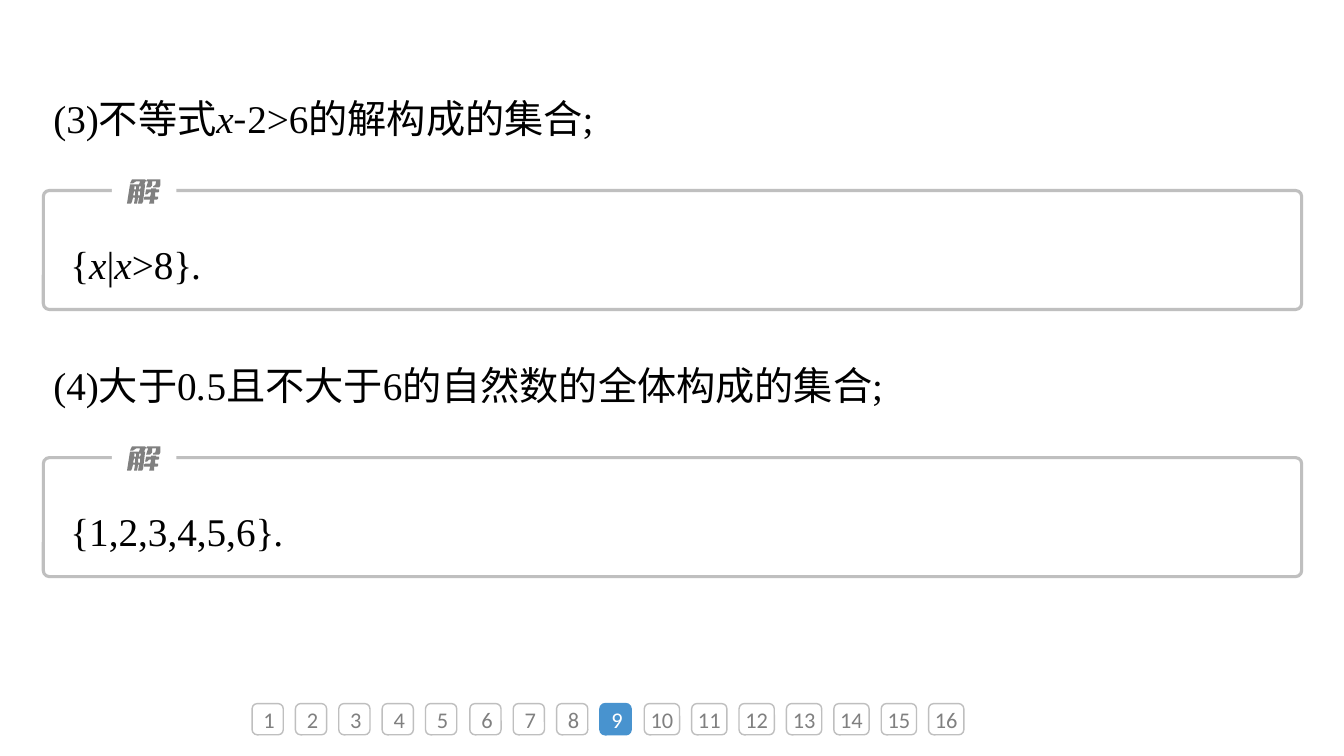
"""Build a slide of two set-notation exercises with answers and page badges."""
import pptx
import pptx.dml.color
import pptx.enum.shapes
import pptx.enum.text
import pptx.util
from lxml import etree

PX = 9144
BLACK = pptx.dml.color.RGBColor(0, 0, 0)
WHITE = pptx.dml.color.RGBColor(255, 255, 255)
GREY = pptx.dml.color.RGBColor(0x80, 0x80, 0x80)
LIGHT_GREY = pptx.dml.color.RGBColor(0xBF, 0xBF, 0xBF)
BLUE = pptx.dml.color.RGBColor(0x48, 0x93, 0xCF)
SERIF = "Times New Roman"
SANS = "Noto Sans CJK SC"
DRAWING = "http://schemas.openxmlformats.org/drawingml/2006/main"
RECTANGLE = pptx.enum.shapes.MSO_SHAPE.RECTANGLE
ROUNDED = pptx.enum.shapes.MSO_SHAPE.ROUNDED_RECTANGLE
CURRENT_PAGE = 9
PAGE_COUNT = 16

SOLUTION_GLYPH = [
    [(11, 12), (11, 16), (13, 16), (13, 12)],
    [(7, 12), (6, 16), (8, 16), (8, 12)],
    [(25, 9), (29, 9), (29, 10), (32, 10), (32, 12), (31, 13), (28, 13),
     (28, 17), (31, 17), (31, 19), (30, 20), (27, 20), (27, 24), (22, 24),
     (23, 20), (17, 20), (17, 18), (18, 17), (23, 17), (24, 13), (22, 13),
     (20, 15), (18, 15), (19, 10), (24, 10), (24, 9)],
    [(12, 7), (12, 10), (13, 10), (14, 7)],
    [(20, 0), (33, 0), (33, 6), (32, 8), (26, 8), (26, 7), (27, 6), (28, 6),
     (29, 2), (25, 2), (25, 6), (23, 8), (19, 8), (21, 2), (19, 2)],
    [(5, 0), (18, 0), (19, 1), (17, 5), (18, 5), (16, 22), (15, 24), (11, 24),
     (12, 18), (11, 18), (10, 24), (7, 24), (8, 18), (6, 18), (5, 22), (4, 24),
     (0, 24), (3, 5), (8, 5), (7, 10), (9, 10), (9, 7), (8, 7), (8, 5),
     (12, 5), (13, 2), (9, 2), (6, 4), (3, 4)],
]

EXERCISES = [
    ([("(3)不等式", False, SERIF), ("x", True, SERIF), ("-", False, SANS),
      ("2>6的解构成的集合;", False, SERIF)],
     [("{", False, SERIF), ("x", True, SERIF), ("|", False, SERIF),
      ("x", True, SERIF), (">8}", False, SERIF), (".", True, SERIF)]),
    ([("(4)大于0", False, SERIF), (".", True, SERIF),
      ("5且不大于6的自然数的全体构成的集合;", False, SERIF)],
     [("{1,2,3,4,5,6}", False, SERIF), (".", True, SERIF)]),
]


def add_run(paragraph, text, size, color, font_name, italic=False):
    """Append one formatted run."""
    run = paragraph.add_run()
    run.text = text
    run.font.size = pptx.util.Pt(size)
    run.font.italic = italic
    run.font.color.rgb = color
    run.font.name = font_name
    east_asian = etree.SubElement(run.font._element, f"{{{DRAWING}}}ea")
    east_asian.set("typeface", SANS)


def add_math_text(slide, left, top, width, height, runs):
    """Add a line of mixed upright and italic text."""
    box = slide.shapes.add_textbox(left * PX, top * PX, width * PX, height * PX)
    frame = box.text_frame
    frame.word_wrap = True
    frame.auto_size = pptx.enum.text.MSO_AUTO_SIZE.SHAPE_TO_FIT_TEXT
    paragraph = frame.paragraphs[0]
    paragraph.line_spacing = 1.5
    for text, italic, font_name in runs:
        add_run(paragraph, text, 28, BLACK, font_name, italic)


def add_box(shapes, kind, left, top, width, height, fill=None, line=None, weight=1):
    """Add a preset shape with optional fill and outline."""
    shape = shapes.add_shape(kind, left * PX, top * PX, width * PX, height * PX)
    style_shape(shape, fill)
    if line is not None:
        shape.line.color.rgb = line
        shape.line.width = pptx.util.Pt(weight)
    return shape


def style_shape(shape, fill):
    """Give a shape a plain fill, no outline and no shadow."""
    shape.shadow.inherit = False
    shape.line.fill.background()
    if fill is None:
        shape.fill.background()
    else:
        shape.fill.solid()
        shape.fill.fore_color.rgb = fill


def add_glyph(shapes, left, top):
    """Draw the slanted solution label as a freeform."""
    builder = shapes.build_freeform(*SOLUTION_GLYPH[0][0], scale=float(PX))
    for number, contour in enumerate(SOLUTION_GLYPH):
        if number:
            builder.move_to(*contour[0])
        builder.add_line_segments(contour[1:], close=True)
    style_shape(builder.convert_to_shape(left * PX, top * PX), GREY)


def add_answer_frame(slide, top):
    """Add the rounded answer frame with its label in the top edge."""
    group = slide.shapes.add_group_shape()
    frame = add_box(group.shapes, ROUNDED, 43, top, 1248, 118,
                    line=LIGHT_GREY, weight=2.25)
    frame.adjustments[0] = 0.05
    add_box(group.shapes, RECTANGLE, 111, top - 12, 64, 24, fill=WHITE)
    add_glyph(group.shapes, 126, top - 11)


def add_exercise(slide, top, question, answer):
    """Add a question with its framed answer."""
    add_math_text(slide, 43, top, 1248, 81, question)
    add_answer_frame(slide, top + 124)
    add_math_text(slide, 60, top + 145, 1215, 73, answer)


def add_page_badge(slide, page):
    """Add one numbered page badge, highlighted when current."""
    current = page == CURRENT_PAGE
    wide = page > 9
    left = 639 + (page - 10) * 47 if wide else 250 + (page - 1) * 216 // 5
    badge = add_box(slide.shapes, ROUNDED, left, 698, 35 if wide else 31, 31,
                    fill=BLUE if current else WHITE,
                    line=BLUE if current else LIGHT_GREY)
    frame = badge.text_frame
    frame.vertical_anchor = pptx.enum.text.MSO_ANCHOR.MIDDLE
    if wide:
        frame.margin_left = frame.margin_right = 0
    paragraph = frame.paragraphs[0]
    paragraph.alignment = pptx.enum.text.PP_ALIGN.CENTER
    add_run(paragraph, str(page), 16, WHITE if current else GREY, "Calibri")


def main():
    """Build and save the slide."""
    presentation = pptx.Presentation()
    presentation.slide_width = 1333 * PX
    presentation.slide_height = 750 * PX
    slide = presentation.slides.add_slide(presentation.slide_layouts[6])
    for number, (question, answer) in enumerate(EXERCISES):
        add_exercise(slide, 65 + number * 265, question, answer)
    for page in range(1, PAGE_COUNT + 1):
        add_page_badge(slide, page)
    presentation.save("out.pptx")


if __name__ == "__main__":
    main()
